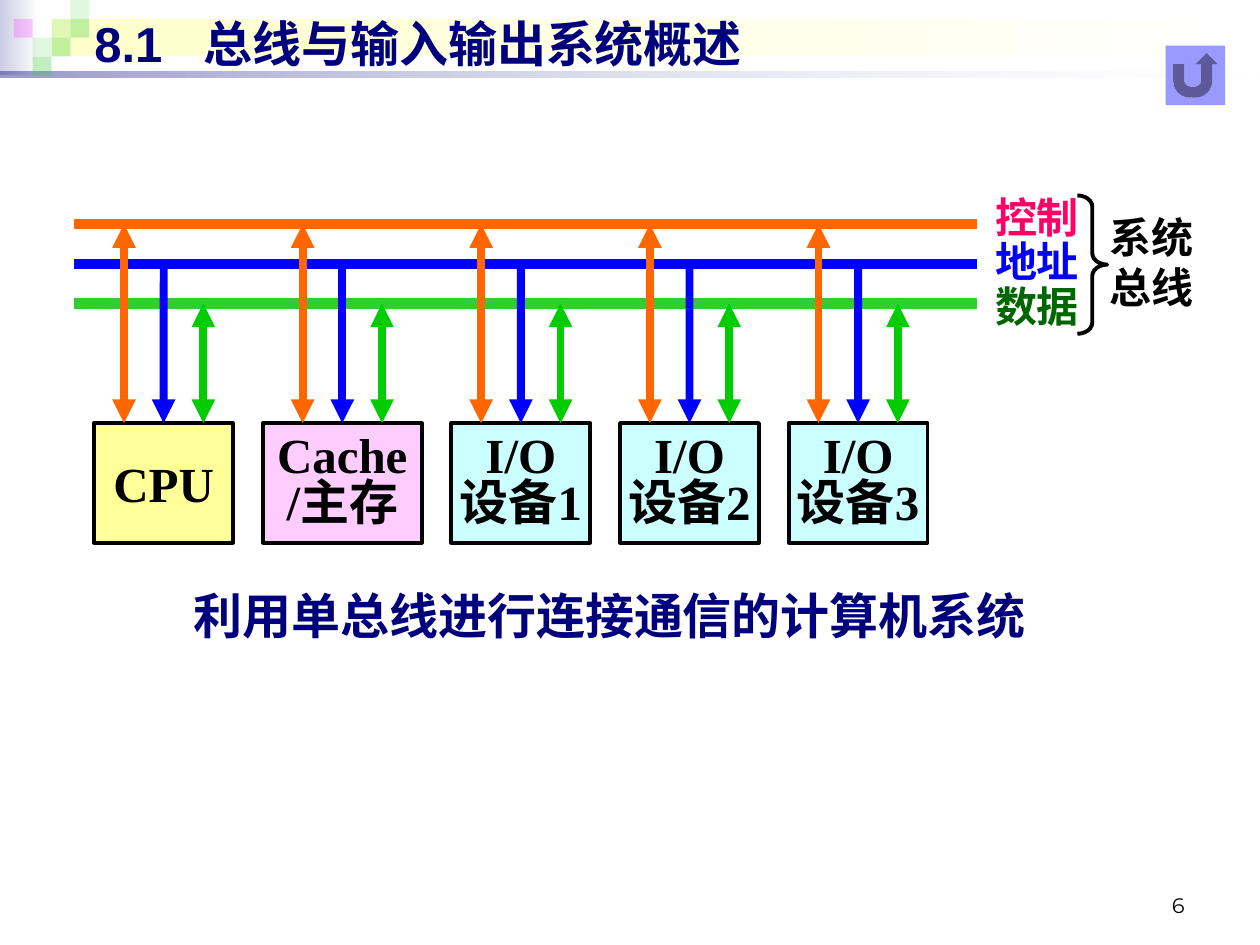
"""Builds the slide on a computer system connected by a single bus."""
from lxml import etree
from pptx import Presentation
from pptx.dml.color import RGBColor
from pptx.enum.shapes import MSO_CONNECTOR, MSO_SHAPE
from pptx.enum.text import MSO_ANCHOR, PP_ALIGN
from pptx.oxml.ns import qn
from pptx.util import Cm, Pt

LEFT, CENTER, RIGHT = PP_ALIGN.LEFT, PP_ALIGN.CENTER, PP_ALIGN.RIGHT
TOP, MIDDLE, BOTTOM = MSO_ANCHOR.TOP, MSO_ANCHOR.MIDDLE, MSO_ANCHOR.BOTTOM
RECT, BRACE = MSO_SHAPE.RECTANGLE, MSO_SHAPE.RIGHT_BRACE
RETURN_BUTTON = MSO_SHAPE.ACTION_BUTTON_RETURN
STRAIGHT = MSO_CONNECTOR.STRAIGHT
SERIF = "Times New Roman"

TITLE = "8.1\t总线与输入输出系统概述"
CAPTION = "利用单总线进行连接通信的计算机系统"
SYSTEM_BUS = "系统总线"
PAGE_NUMBER = "6"
BUSES = [
    {"label": "控制", "label_color": "FF0066", "color": "FF6600", "arrow": "FF6600", "two_way": True},
    {"label": "地址", "label_color": "0000FF", "color": "0000FF", "arrow": "0000FF", "two_way": False},
    {"label": "数据", "label_color": "006600", "color": "33CC33", "arrow": "00CC00", "two_way": True},
]
DEVICES = [
    (["CPU"], 2.8, "FFFF99"),
    (["Cache", "/主存"], 3.2, "FFCCFF"),
    (["I/O\n设备1"], 2.8, "CCFFFF"),
    (["I/O\n设备2"], 2.8, "CCFFFF"),
    (["I/O\n设备3"], 2.8, "CCFFFF"),
]
GRADIENT_BARS = [
    ((0, 0, 0.79, 1.52), ("CCCCE6", 100), ("FFFFFF", 100)),
    ((1.04, 0.38, 24.26, 0.76), ("FFFFCC", 100), ("FFFFFF", 100)),
    ((0, 1.45, 25.4, 0.12), ("00007D", 40), ("FFFFFF", 10)),
]
MOSAIC = [
    (2, 1, "33CC33", 15), (3, 0, "33CC33", 15), (3, 1, "33CC33", 30), (1, 2, "33CC33", 15),
    (0, 1, "FF00FF", 20), (2, 2, "33CC33", 30), (1, 3, "33CC33", 30),
]
MOSAIC_LEFT, TILE = 0.28, 0.38
BUS_LEFT, BUS_RIGHT, BUS_TOP, BUS_STEP = 1.5, 19.7, 4.52, 0.8
DEVICE_LEFT, DEVICE_TOP, DEVICE_HEIGHT, DEVICE_GAP = 1.9, 8.53, 2.41, 0.6
LABEL_TOP, LABEL_STEP = 3.73, 0.9


def paint(color_format, color):
    color_format.rgb = RGBColor.from_string(color)


def set_opacity(parent, percent):
    for color in parent.iter(qn("a:srgbClr")):
        etree.SubElement(color, qn("a:alpha"), val=str(percent * 1000))


def add_box(shapes, preset, place, fill=None, line=None):
    box = shapes.add_shape(preset, *map(Cm, place))
    box.shadow.inherit = False
    if fill:
        box.fill.solid()
        paint(box.fill.fore_color, fill)
    else:
        box.fill.background()
    if line:
        paint(box.line.color, line)
        box.line.width = Pt(2.25)
    else:
        box.line.fill.background()
    return box


def write(holder, paragraphs, size, color, font=SERIF, bold=True, align=CENTER,
          anchor=TOP, wrap=True, spacing=1.0, tab=None):
    frame = holder.text_frame
    frame.word_wrap = wrap
    frame.vertical_anchor = anchor
    for index, text in enumerate(paragraphs):
        paragraph = frame.add_paragraph() if index else frame.paragraphs[0]
        paragraph.alignment = align
        paragraph.line_spacing = spacing
        paragraph.space_before = Pt(0)
        if tab:
            tabs = etree.SubElement(paragraph._p.get_or_add_pPr(), qn("a:tabLst"))
            etree.SubElement(tabs, qn("a:tab"), pos=str(Cm(tab)), algn="l")
        for row, words in enumerate(text.split("\n")):
            if row:
                paragraph.add_line_break()
            run = paragraph.add_run()
            run.text = words
            run.font.name, run.font.size, run.font.bold = font, Pt(size), bold
            paint(run.font.color, color)


def add_label(shapes, place, text, size, color, **style):
    write(shapes.add_textbox(*map(Cm, place)), [text], size, color, **style)


def add_line(shapes, start, end, color, width, ends=()):
    line = shapes.add_connector(STRAIGHT, *map(Cm, start + end))
    paint(line.line.color, color)
    line.line.width = Pt(width)
    for end_name in ends:
        etree.SubElement(line.line._get_or_add_ln(), qn(end_name), type="triangle")
    etree.SubElement(line._element.spPr, qn("a:effectLst"))
    return line


def add_header(slide):
    shapes = slide.shapes
    for place, *stops in GRADIENT_BARS:
        bar = add_box(shapes, RECT, place)
        bar.fill.gradient()
        bar.fill.gradient_angle = 0
        for stop, (color, opacity) in zip(bar.fill.gradient_stops, stops):
            paint(stop.color, color)
            set_opacity(stop._gs, opacity)
    for column, row, color, opacity in MOSAIC:
        tile = add_box(shapes, RECT, (MOSAIC_LEFT + column * TILE, row * TILE, TILE, TILE), color)
        set_opacity(tile._element.spPr, opacity)
    title = shapes.title
    shapes._spTree.append(title._element)
    title.left, title.top, title.width, title.height = map(Cm, (1.65, 0.13, 22.86, 1.45))
    write(title, [TITLE], 28, "00007D", font="Arial", align=LEFT, anchor=MIDDLE, tab=2.2)


def add_buses(shapes):
    for index, bus in enumerate(BUSES):
        height = BUS_TOP + index * BUS_STEP
        add_line(shapes, (BUS_LEFT, height), (BUS_RIGHT, height), bus["color"], 6)
        add_label(shapes, (19.51, LABEL_TOP + index * LABEL_STEP, 2.79, 1.27),
                  bus["label"], 24, bus["label_color"])
    brace = add_box(shapes, BRACE, (21.72, 3.94, 0.6, 2.79), line="000000")
    brace.adjustments[0] = 0.38
    add_label(shapes, (21.9, 4.14, 2.41, 2.29), SYSTEM_BUS, 24, "000000", align=RIGHT)


def add_devices(shapes):
    left = DEVICE_LEFT
    for names, width, color in DEVICES:
        device = add_box(shapes, RECT, (left, DEVICE_TOP, width, DEVICE_HEIGHT), color, "000000")
        spacing = 1.0 if names == ["CPU"] else 0.8
        write(device, names, 28, "000000", anchor=MIDDLE, wrap=False, spacing=spacing)
        for index, bus in enumerate(BUSES):
            x = left + width / 2 + (index - 1) * BUS_STEP
            ends = ("a:headEnd", "a:tailEnd") if bus["two_way"] else ("a:headEnd",)
            arrow = add_line(shapes, (x, DEVICE_TOP), (x, BUS_TOP + index * BUS_STEP),
                             bus["arrow"], 4.5, ends)
            if index == 1:
                arrow.begin_connect(device, 0)
        left += width + DEVICE_GAP


def main():
    deck = Presentation()
    deck.slide_width, deck.slide_height = Cm(25.4), Cm(19.05)
    slide = deck.slides.add_slide(deck.slide_layouts[5])
    shapes = slide.shapes
    add_header(slide)
    add_buses(shapes)
    add_devices(shapes)
    add_label(shapes, (2.69, 11.68, 19.2, 1.45), CAPTION, 28, "00007D")
    add_box(shapes, RETURN_BUTTON, (23.5, 0.92, 1.2, 1.2), "9999FF")
    add_label(shapes, (18.21, 17.35, 5.92, 1.27), PAGE_NUMBER, 12, "000000",
              font="Montserrat", bold=False, align=RIGHT, anchor=BOTTOM)
    deck.save("out.pptx")


if __name__ == "__main__":
    main()
